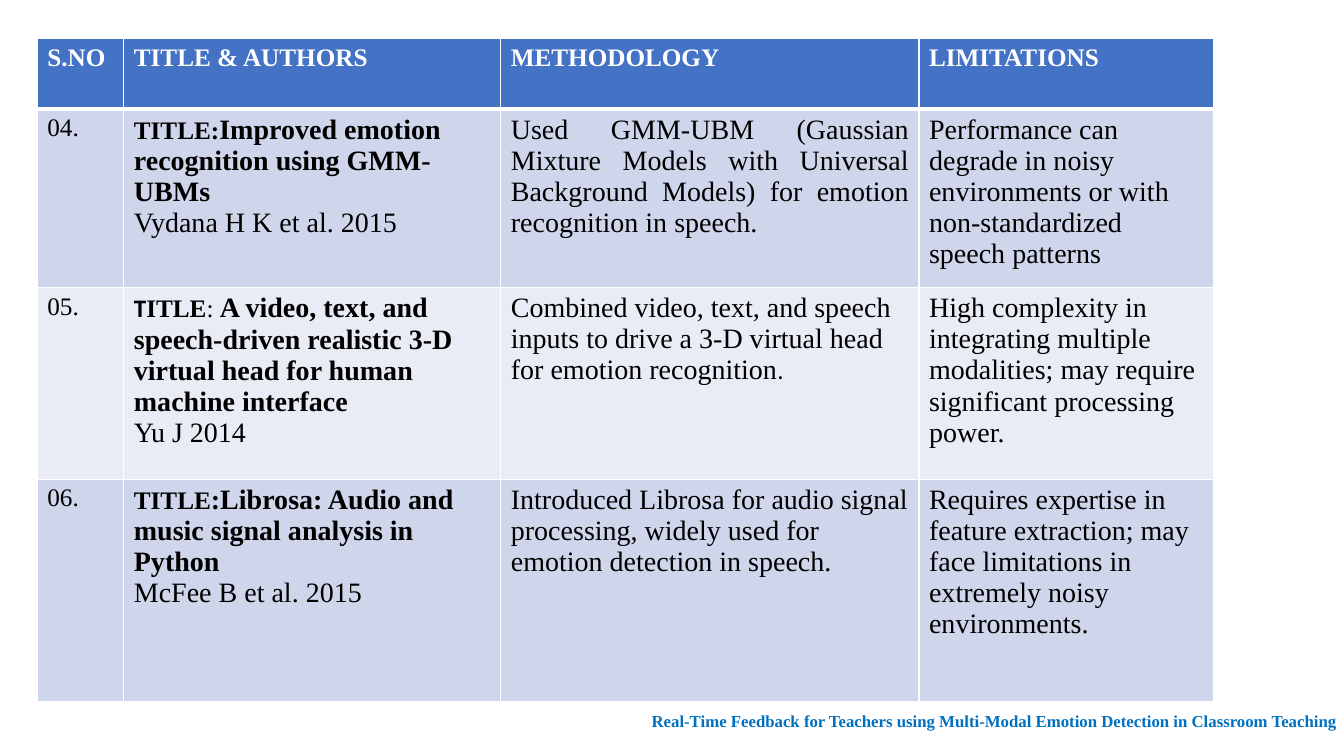
"""Build a literature survey slide with a table of papers and a project footer."""
from lxml import etree
from pptx import Presentation
from pptx import util as u
from pptx.dml.color import RGBColor
from pptx.enum import text
from pptx.oxml.ns import qn

COLOURS = {
    "header": "4472C4", "odd": "CFD5EA", "even": "E9EBF5",
    "white": "FFFFFF", "black": "000000", "footer": "0070C0",
}
SERIF, SANS = "Times New Roman", "Calibri"
FORMATS = {
    "heading": {"size": u.Pt(18), "bold": True, "name": SERIF},
    "number": {"size": u.Pt(18), "bold": False, "name": SERIF},
    "title": {"size": u.Pt(20), "bold": True, "name": SERIF},
    "body": {"size": u.Pt(20), "bold": False, "name": SERIF},
    "sans": {"size": u.Pt(18), "bold": True, "name": SANS},
    "stop": {"size": u.Pt(18), "bold": False, "name": SANS},
    "footer": {"size": u.Pt(12), "bold": True, "name": SERIF},
}
COLUMN_WIDTHS = [2.18, 9.5, 10.54, 7.42]
ROW_HEIGHTS = [1.78, 4.5, 4.83, 5.59]
HEADINGS = ["S.NO", "TITLE & AUTHORS", "METHODOLOGY", "LIMITATIONS"]
PAPERS = [
    (
        "04.",
        [("TITLE:", "heading"), ("Improved emotion recognition using GMM-UBMs", "title")],
        "Vydana H K et al. 2015",
        [("Used GMM-UBM (Gaussian Mixture Models with Universal Background Models) "
          "for emotion recognition in speech.", "body")],
        "Performance can degrade in noisy environments or with non-standardized speech patterns",
    ),
    (
        "05.",
        [("T", "sans"), ("ITLE", "heading"), (": ", "number"),
         ("A video, text, and speech-driven realistic 3-D virtual head "
          "for human machine interface", "title")],
        "Yu J 2014",
        [("Combined video, text, and speech inputs to drive a 3-D virtual head "
          "for emotion recognition", "body"), (".", "stop")],
        "High complexity in integrating multiple modalities; "
        "may require significant processing power.",
    ),
    (
        "06.",
        [("TITLE", "heading"), (":Librosa: Audio and music signal analysis in Python", "title")],
        "McFee B et al. 2015",
        [("Introduced Librosa for audio signal processing, widely used for "
          "emotion detection in speech.", "body")],
        "Requires expertise in feature extraction; may face limitations "
        "in extremely noisy environments.",
    ),
]


def rgb(colour):
    """Return the named colour."""
    return RGBColor.from_string(COLOURS[colour])


def write(frame, paragraphs, colour):
    """Write paragraphs of (wording, format) runs into a text frame."""
    for index, runs in enumerate(paragraphs):
        paragraph = frame.add_paragraph() if index else frame.paragraphs[0]
        for wording, style in runs:
            run = paragraph.add_run()
            run.text = wording
            for attribute, value in FORMATS[style].items():
                setattr(run.font, attribute, value)
            run.font.color.rgb = rgb(colour)


def add_borders(cell, top, bottom):
    """Draw white borders, with top and bottom widths in points."""
    properties = cell._tc.get_or_add_tcPr()
    for side, width in (("lnL", 1), ("lnR", 1), ("lnT", top), ("lnB", bottom)):
        border = etree.SubElement(properties, qn(f"a:{side}"), w=str(u.Pt(width)))
        fill = etree.SubElement(border, qn("a:solidFill"))
        etree.SubElement(fill, qn("a:srgbClr"), val=COLOURS["white"])


def fill_row(table, row, contents, fill, colour):
    """Fill one table row with paragraphs, borders and a background."""
    for column, paragraphs in enumerate(contents):
        cell = table.cell(row, column)
        add_borders(cell, top=3 if row == 1 else 1, bottom=3 if row == 0 else 1)
        cell.fill.solid()
        cell.fill.fore_color.rgb = rgb(fill)
        write(cell.text_frame, paragraphs, colour)


def add_survey(slide):
    """Add the table of surveyed papers."""
    table = slide.shapes.add_table(
        len(ROW_HEIGHTS), len(COLUMN_WIDTHS), u.Cm(0.94), u.Cm(0.97),
        u.Cm(sum(COLUMN_WIDTHS)), u.Cm(sum(ROW_HEIGHTS))).table
    for column, width in zip(table.columns, COLUMN_WIDTHS):
        column.width = u.Cm(width)
    for row, height in zip(table.rows, ROW_HEIGHTS):
        row.height = u.Cm(height)
    fill_row(table, 0, [[[(heading, "heading")]] for heading in HEADINGS], "header", "white")
    for row, (number, title, authors, method, limits) in enumerate(PAPERS, 1):
        contents = [[[(number, "number")]], [title, [(authors, "body")]],
                    [method], [[(limits, "body")]]]
        fill_row(table, row, contents, "odd" if row % 2 else "even", "black")
    table.cell(1, 2).text_frame.paragraphs[0].alignment = text.PP_ALIGN.JUSTIFY


def add_footer(slide, wording):
    """Add the centred project name at the bottom right."""
    footer = slide.shapes.add_textbox(u.Cm(15.54), u.Cm(17.65), u.Cm(19.05), u.Cm(1.02))
    frame = footer.text_frame
    frame.word_wrap = True
    frame.vertical_anchor = text.MSO_ANCHOR.MIDDLE
    write(frame, [[(wording, "footer")]], "footer")
    frame.paragraphs[0].alignment = text.PP_ALIGN.CENTER


def main():
    """Build and save the slide."""
    deck = Presentation()
    deck.slide_width, deck.slide_height = u.Cm(33.87), u.Cm(19.05)
    slide = deck.slides.add_slide(deck.slide_layouts[6])
    add_survey(slide)
    add_footer(slide, "Real-Time Feedback for Teachers using Multi-Modal "
                      "Emotion Detection in Classroom Teaching")
    deck.save("out.pptx")


if __name__ == "__main__":
    main()
